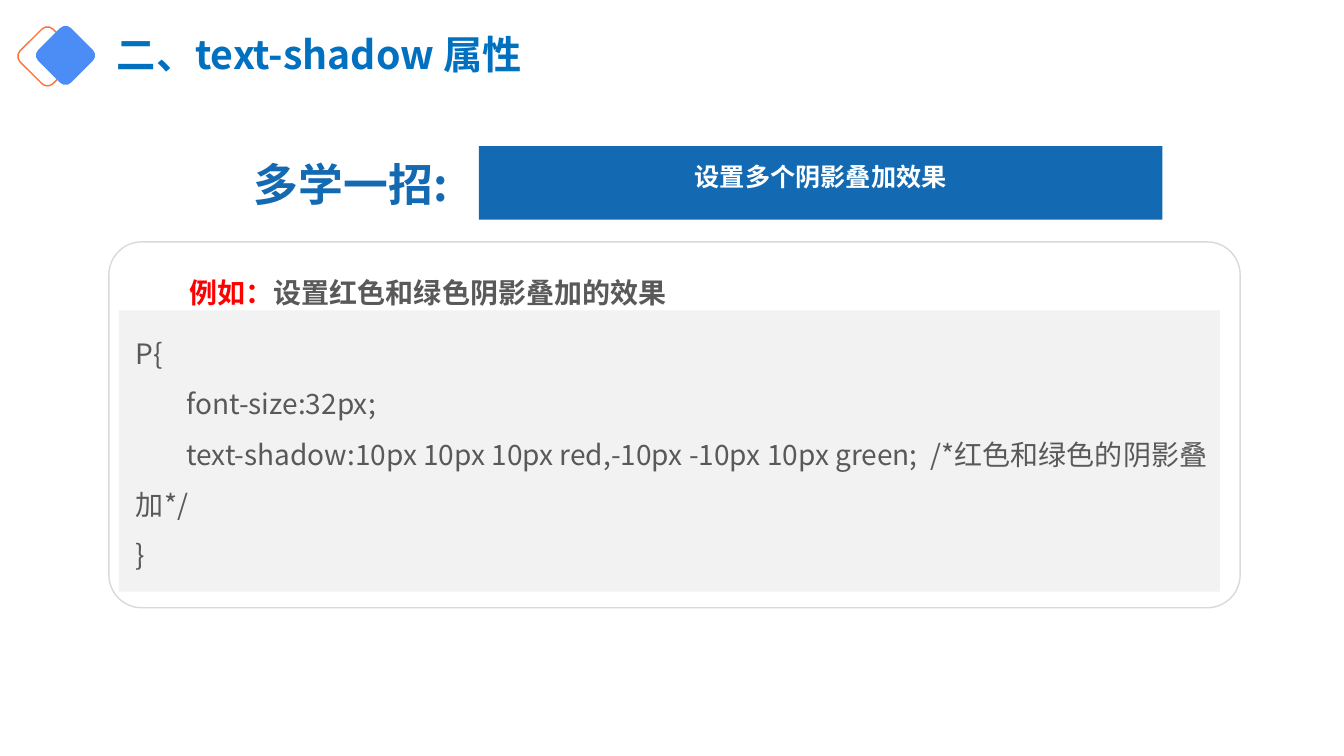
from dataclasses import dataclass
from typing import Optional

import lxml.etree
import pptx
import pptx.dml.color
import pptx.enum.shapes
import pptx.enum.text
import pptx.oxml.ns
import pptx.util

Inches = pptx.util.Inches
Pt = pptx.util.Pt
MSO_SHAPE = pptx.enum.shapes.MSO_SHAPE
PP_ALIGN = pptx.enum.text.PP_ALIGN
MSO_ANCHOR = pptx.enum.text.MSO_ANCHOR

FONT = "Noto Sans CJK SC"
COLORS = {
    "title": "0070C0",
    "banner": "1369B2",
    "diamond": "4C8CF5",
    "diamond_outline": "FD703B",
    "frame": "D9D9D9",
    "code_panel": "F2F2F2",
    "text": "595959",
    "highlight": "FF0000",
    "white": "FFFFFF",
}


@dataclass(frozen=True)
class Panel:
    box: tuple[float, float, float, float]
    kind: MSO_SHAPE = MSO_SHAPE.RECTANGLE
    fill: Optional[str] = None
    line: Optional[str] = None
    rotation: float = 0
    corner: Optional[float] = None


@dataclass(frozen=True)
class TextBlock:
    box: tuple[float, float, float, float]
    paragraphs: list[list[tuple[str, str]]]
    size: float
    bold: bool = True
    align: PP_ALIGN = PP_ALIGN.LEFT
    anchor: MSO_ANCHOR = MSO_ANCHOR.TOP
    spacing: float = 1.0
    wrap: bool = True


PANELS = [
    Panel((0.24, 0.33, 0.46, 0.46), MSO_SHAPE.ROUNDED_RECTANGLE, line="diamond_outline", rotation=45),
    Panel((0.42, 0.32, 0.46, 0.46), MSO_SHAPE.ROUNDED_RECTANGLE, fill="diamond", rotation=45),
    Panel((4.75, 1.45, 6.78, 0.73), fill="banner"),
    Panel((1.08, 2.4, 11.22, 3.63), MSO_SHAPE.ROUNDED_RECTANGLE, line="frame", corner=0.09),
    Panel((1.18, 3.08, 10.92, 2.79), fill="code_panel"),
]

TITLE = TextBlock((1.06, 0.17, 5.13, 0.79), [[("二、text-shadow 属性", "title")]], 28,
                  anchor=MSO_ANCHOR.MIDDLE, spacing=0.9)
EXAMPLE = TextBlock((1.78, 2.52, 9.38, 0.91),
                    [[("例如：", "highlight"), ("设置红色和绿色阴影叠加的效果", "text")]], 20, spacing=1.5)

CODE_LINES = [
    "P{",
    "\tfont-size:32px;",
    "\ttext-shadow:10px 10px 10px red,-10px -10px 10px green;  /*红色和绿色的阴影叠加*/",
    "}",
]
TEXT_BOXES = [
    TextBlock((4.75, 1.55, 6.78, 0.4), [[("设置多个阴影叠加效果", "white")]], 18, align=PP_ALIGN.CENTER),
    TextBlock((2.42, 1.51, 2.1, 0.64), [[("多学一招:", "banner")]], 32, wrap=False),
    TextBlock((1.25, 3.12, 10.92, 2.39), [[(line, "text")] for line in CODE_LINES], 20,
              bold=False, spacing=1.5),
]


def rgb(name: str) -> pptx.dml.color.RGBColor:
    return pptx.dml.color.RGBColor.from_string(COLORS[name])


def apply_format(target: object, values: dict[str, object]) -> None:
    for name, value in values.items():
        setattr(target, name, value)


def place(shape, box: tuple[float, float, float, float]) -> None:
    apply_format(shape, dict(zip(("left", "top", "width", "height"), map(Inches, box))))


def draw_panel(slide: pptx.slide.Slide, panel: Panel) -> None:
    shape = slide.shapes.add_shape(panel.kind, *map(Inches, panel.box))
    shape.shadow.inherit = False
    shape.rotation = panel.rotation
    if panel.corner is not None:
        shape.adjustments[0] = panel.corner
    if panel.fill:
        shape.fill.solid()
        shape.fill.fore_color.rgb = rgb(panel.fill)
    else:
        shape.fill.background()
    if panel.line:
        shape.line.color.rgb = rgb(panel.line)
        shape.line.width = Pt(1)
    else:
        shape.line.fill.background()


def write_text(shape, block: TextBlock) -> None:
    place(shape, block.box)
    frame = shape.text_frame
    apply_format(frame, {
        "word_wrap": block.wrap,
        "auto_size": pptx.enum.text.MSO_AUTO_SIZE.NONE,
        "vertical_anchor": block.anchor,
    })
    for index, parts in enumerate(block.paragraphs):
        paragraph = frame.add_paragraph() if index else frame.paragraphs[0]
        properties = paragraph._p.get_or_add_pPr()
        apply_indent = {"marL": "0", "indent": "0"}
        for name, value in apply_indent.items():
            properties.set(name, value)
        lxml.etree.SubElement(properties, pptx.oxml.ns.qn("a:buNone"))
        apply_format(paragraph, {
            "alignment": block.align,
            "line_spacing": block.spacing,
            "space_before": Pt(0),
            "space_after": Pt(0),
        })
        for text, color in parts:
            run = paragraph.add_run()
            run.text = text
            apply_format(run.font, {"name": FONT, "size": Pt(block.size), "bold": block.bold})
            run.font.color.rgb = rgb(color)
            east_asian = lxml.etree.Element(pptx.oxml.ns.qn("a:ea"), typeface=FONT)
            run._r.rPr.find(pptx.oxml.ns.qn("a:latin")).addnext(east_asian)


def main() -> None:
    presentation = pptx.Presentation()
    apply_format(presentation, {"slide_width": Inches(13.33), "slide_height": Inches(7.5)})
    slide = presentation.slides.add_slide(presentation.slide_layouts[1])
    for panel in PANELS:
        draw_panel(slide, panel)
    write_text(slide.shapes.title, TITLE)
    write_text(slide.placeholders[1], EXAMPLE)
    for block in TEXT_BOXES:
        write_text(slide.shapes.add_textbox(*map(Inches, block.box)), block)
    presentation.save("out.pptx")


if __name__ == "__main__":
    main()
